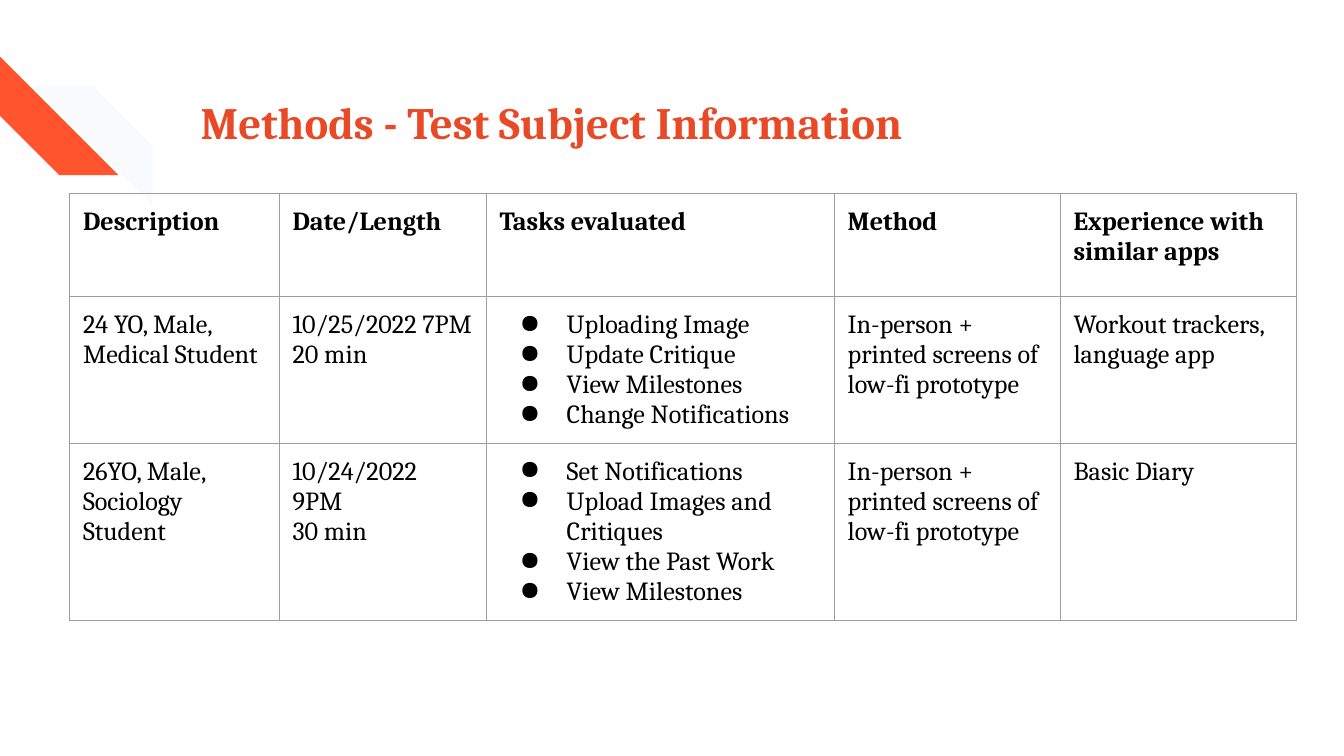
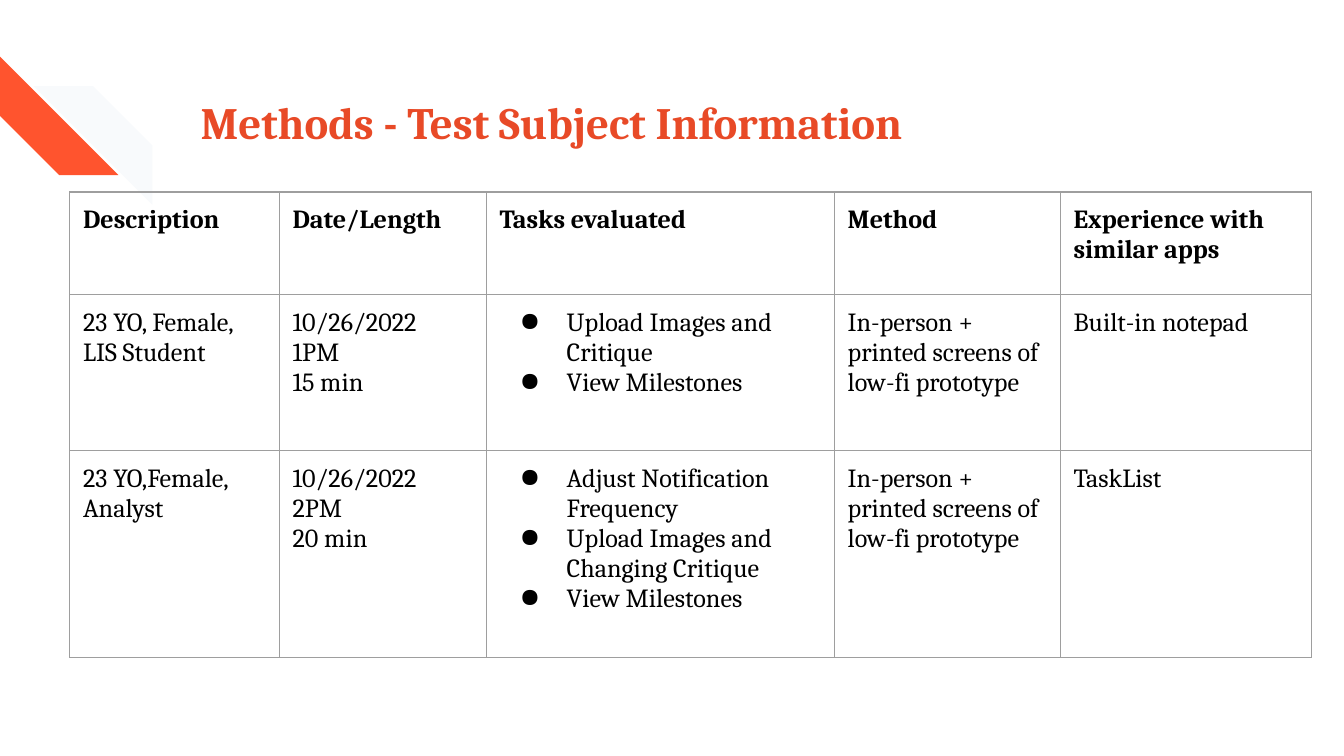
from dataclasses import dataclass

from lxml.etree import SubElement
from pptx import Presentation
from pptx.dml.color import RGBColor
from pptx.enum.shapes import MSO_SHAPE
from pptx.enum.text import MSO_ANCHOR, MSO_AUTO_SIZE, PP_ALIGN
from pptx.oxml.ns import qn
from pptx.util import Cm, Pt


@dataclass(frozen=True)
class Theme:
    """Colours, font and type sizes shared by the slides."""
    font: str = "Cambria"
    title_size: int = 24
    cell_size: int = 14
    accent: str = "E84A27"
    stripe: str = "FF542E"
    shade: str = "F8FAFC"
    text: str = "000000"
    border: str = "9E9E9E"
    border_width: float = 0.75


TITLE = "Methods - Test Subject Information"
HEADER = ["Description", "Date/Length", "Tasks evaluated", "Method",
          "Experience with similar apps"]
METHOD = "In-person + printed screens of low-fi prototype"
TASKS_COLUMN = HEADER.index("Tasks evaluated")
SHARED_WIDTHS = [3.96, 3.91, 6.58, 4.27]

SLIDES = [
    {"top": 3.66, "last_width": 4.47, "heights": [1.95, 2.77, 3.35], "subjects": [
        ["24 YO, Male, Medical Student", "10/25/2022 7PM\n20 min",
         "Uploading Image\nUpdate Critique\nView Milestones\nChange Notifications",
         METHOD, "Workout trackers, language app"],
        ["26YO, Male,\nSociology Student", "10/24/2022\n9PM\n30 min",
         "Set Notifications\nUpload Images and Critiques\nView the Past Work\nView Milestones",
         METHOD, "Basic Diary"],
    ]},
    {"top": 3.63, "last_width": 4.75, "heights": [1.94, 2.95, 3.91], "subjects": [
        ["23 YO, Female, LIS Student", "10/26/2022\n1PM\n15 min",
         "Upload Images and Critique\nView Milestones",
         METHOD, "Built-in notepad"],
        ["23 YO,Female, Analyst", "10/26/2022\n2PM\n20 min",
         "Adjust Notification Frequency\nUpload Images and Changing Critique\nView Milestones",
         METHOD, "TaskList"],
    ]},
]


class Deck:
    """Holds the style and the current slide, and draws each kind of element."""

    def __init__(self, theme):
        self.theme = theme
        self.prs = Presentation()
        self.prs.slide_width, self.prs.slide_height = Cm(25.4), Cm(14.29)
        self.slide = None

    def new_slide(self, title):
        self.slide = self.prs.slides.add_slide(self.prs.slide_layouts[5])
        self.stripe(0, 1.07, 270, self.theme.stripe)
        self.stripe(0.64, 1.63, 90, self.theme.shade)
        self.title(title)

    def stripe(self, left, top, rotation, color):
        sp = self.slide.shapes.add_shape(
            MSO_SHAPE.DIAGONAL_STRIPE, Cm(left), Cm(top), Cm(2.24), Cm(2.24))
        sp.rotation = rotation
        sp.shadow.inherit = False
        sp.fill.solid()
        sp.fill.fore_color.rgb = RGBColor.from_string(color)
        sp.line.fill.background()

    def style(self, p, size, color, bold):
        for r in p.runs:
            r.font.name = self.theme.font
            r.font.size = Pt(size)
            r.font.bold = bold
            r.font.color.rgb = RGBColor.from_string(color)

    def title(self, text):
        sp = self.slide.shapes.title
        sp.left, sp.top, sp.width, sp.height = Cm(3.61), Cm(1.09), Cm(19.56), Cm(2.54)
        tf = sp.text_frame
        tf.text = text
        tf.word_wrap = True
        tf.auto_size = MSO_AUTO_SIZE.NONE
        tf.vertical_anchor = MSO_ANCHOR.MIDDLE
        tf.margin_left = tf.margin_right = Cm(0.18)
        tf.margin_top = tf.margin_bottom = Cm(0.1)
        p = tf.paragraphs[0]
        p.alignment = PP_ALIGN.LEFT
        p.line_spacing = 0.9
        self.style(p, self.theme.title_size, self.theme.accent, True)

    def bullet(self, p):
        pPr = p._p.get_or_add_pPr()
        pPr.set("marL", str(Cm(1.27)))
        pPr.set("indent", str(-Cm(0.89)))
        color = SubElement(pPr, qn("a:buClr"))
        SubElement(color, qn("a:srgbClr"), val=self.theme.text)
        SubElement(pPr, qn("a:buChar"), char="●")

    def borders(self, cell):
        tcPr = cell._tc.get_or_add_tcPr()
        for side in "LRTB":
            ln = SubElement(tcPr, qn(f"a:ln{side}"), w=str(Pt(self.theme.border_width)))
            fill = SubElement(ln, qn("a:solidFill"))
            SubElement(fill, qn("a:srgbClr"), val=self.theme.border)

    def cell(self, cell, text, bold, bulleted):
        cell.margin_left = cell.margin_right = Cm(0.25)
        cell.margin_top = cell.margin_bottom = Cm(0.25)
        self.borders(cell)
        cell.fill.background()
        cell.text_frame.text = text
        for p in cell.text_frame.paragraphs:
            if bulleted:
                self.bullet(p)
            self.style(p, self.theme.cell_size, self.theme.text, bold)

    def table(self, top, widths, heights, rows):
        table = self.slide.shapes.add_table(
            len(rows), len(widths), Cm(1.32), Cm(top),
            Cm(sum(widths)), Cm(sum(heights))).table
        table.first_row = table.horz_banding = False
        for column, width in zip(table.columns, widths):
            column.width = Cm(width)
        for row, height in zip(table.rows, heights):
            row.height = Cm(height)
        for i, texts in enumerate(rows):
            for j, text in enumerate(texts):
                self.cell(table.cell(i, j), text, i == 0, i > 0 and j == TASKS_COLUMN)


def main():
    deck = Deck(Theme())
    for data in SLIDES:
        deck.new_slide(TITLE)
        deck.table(data["top"], SHARED_WIDTHS + [data["last_width"]],
                   data["heights"], [HEADER] + data["subjects"])
    deck.prs.save("out.pptx")


if __name__ == "__main__":
    main()
